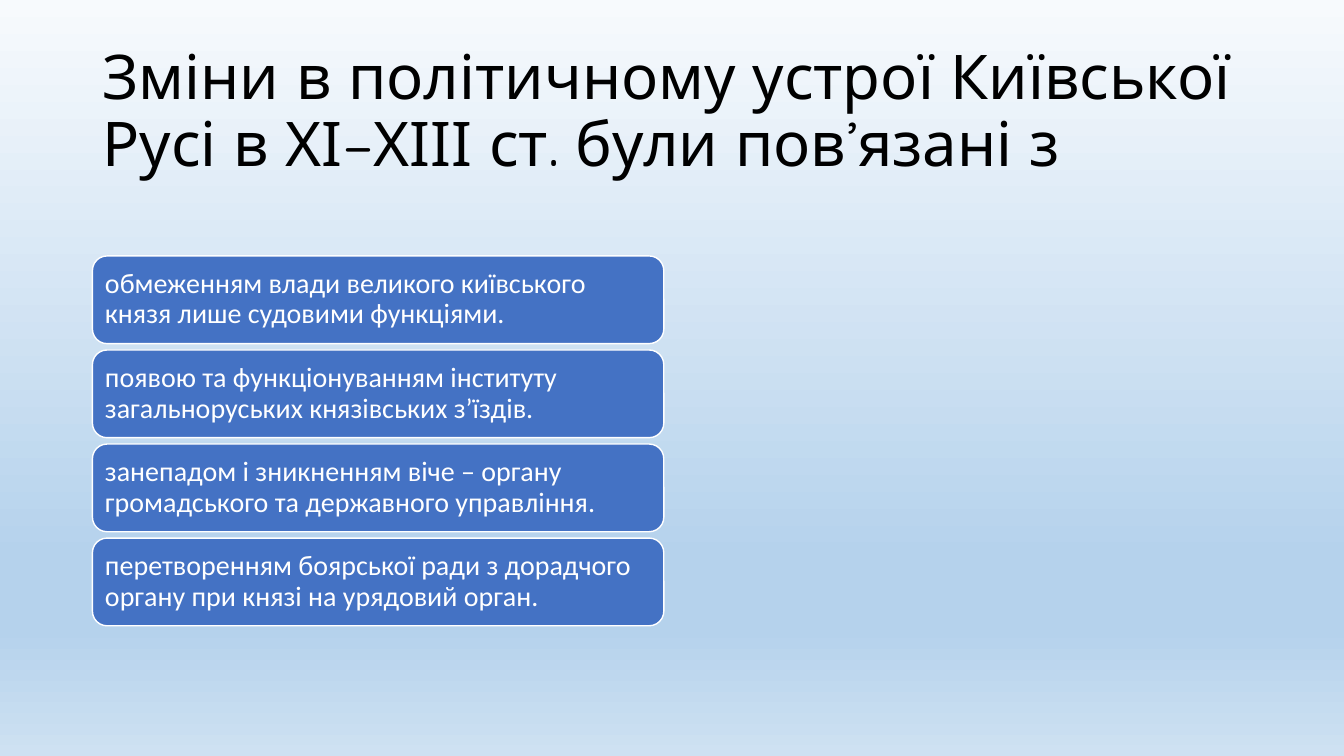
from lxml.etree import SubElement
from pptx import Presentation
from pptx.dml.color import RGBColor
from pptx.enum.shapes import MSO_SHAPE
from pptx.enum.text import MSO_ANCHOR, PP_ALIGN
from pptx.oxml.ns import qn
from pptx.util import Cm, Pt

BLACK = RGBColor(0x00, 0x00, 0x00)
WHITE = RGBColor(0xFF, 0xFF, 0xFF)
BLUE = RGBColor(0x44, 0x72, 0xC4)
SKY_PALE = RGBColor(0xF7, 0xFA, 0xFD)
SKY_DEEP = RGBColor(0xB5, 0xD2, 0xEC)
SKY_LIGHT = RGBColor(0xCE, 0xE1, 0xF2)
SKY_STOPS = [(0, SKY_PALE), (74, SKY_DEEP), (83, SKY_DEEP), (100, SKY_LIGHT)]

TITLE = "Зміни в політичному устрої Київської Русі в ХІ–ХІІІ ст. були пов’язані з"
CHANGES = [
    "обмеженням влади великого київського князя лише судовими функціями.",
    "появою та функціонуванням інституту загальноруських князівських з’їздів.",
    "занепадом і зникненням віче – органу громадського та державного управління.",
    "перетворенням боярської ради з дорадчого органу при князі на урядовий орган.",
]
LEFT = 2.33
TOP = 6.45
PITCH = 2.37


def set_text(sp, text, font, size, color):
    tf = sp.text_frame
    tf.word_wrap = True
    tf.vertical_anchor = MSO_ANCHOR.MIDDLE
    p = tf.paragraphs[0]
    p.text = text
    p.alignment = PP_ALIGN.LEFT
    p.line_spacing = 0.9
    r = p.runs[0]
    r.font.name = font
    r.font.size = Pt(size)
    r.font.color.rgb = color


prs = Presentation()
prs.slide_width = Cm(33.87)
prs.slide_height = Cm(19.05)
s = prs.slides.add_slide(prs.slide_layouts[6])

fill = s.background.fill
fill.gradient()
fill.gradient_angle = 270
stops = next(s.element.iter(qn("a:gsLst")))
for stop in list(stops):
    stops.remove(stop)
for percent, color in SKY_STOPS:
    stop = SubElement(stops, qn("a:gs"), pos=str(percent * 1000))
    SubElement(stop, qn("a:srgbClr"), val=str(color))

title = s.shapes.add_textbox(Cm(LEFT), Cm(1.01), Cm(29.21), Cm(3.68))
set_text(title, TITLE, "Quicksand", 44, BLACK)

for i, change in enumerate(CHANGES):
    sp = s.shapes.add_shape(MSO_SHAPE.ROUNDED_RECTANGLE, Cm(LEFT), Cm(TOP + i * PITCH), Cm(14.4), Cm(2.21))
    sp.shadow.inherit = False
    sp.fill.solid()
    sp.fill.fore_color.rgb = BLUE
    sp.line.color.rgb = WHITE
    sp.line.width = Pt(1)
    tf = sp.text_frame
    tf.margin_left = tf.margin_right = tf.margin_top = tf.margin_bottom = Cm(0.21)
    set_text(sp, change, "Calibri", 20, WHITE)

prs.save("out.pptx")
